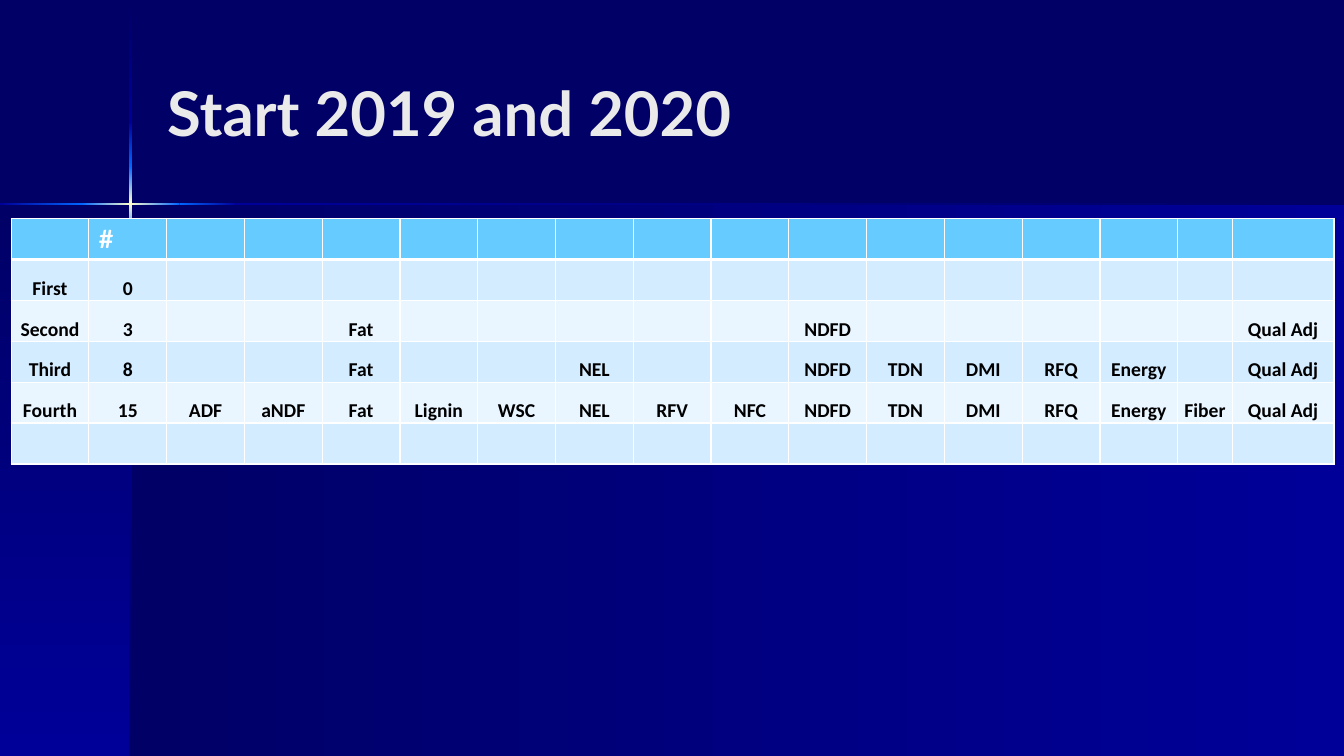
"""Build the slide of feed quality traits by start group, 2019 and 2020."""
from copy import deepcopy
from dataclasses import dataclass
from itertools import pairwise
from typing import Any

from lxml.etree import SubElement
from pptx import Presentation
from pptx.dml.color import RGBColor
from pptx.enum.shapes import MSO_SHAPE
from pptx.enum.text import MSO_ANCHOR, PP_ALIGN
from pptx.oxml.ns import qn
from pptx.util import Cm, Pt

SLIDE_WIDTH, SLIDE_HEIGHT = 33.87, 19.05
NAVY, BLUE, AZURE, CREAM = "000066", "000099", "0066FF", "FFFFCC"
WHITE, BLACK, SILVER = "FFFFFF", "000000", "EAEAEA"
HEADER_FILL, BAND_FILLS = "66CCFF", ("D3ECFF", "EAF6FF")
DOWN, RIGHTWARD = 270, 0

RAY_COLOURS = (
    (NAVY, BLUE),
    (BLUE, AZURE),
    (AZURE, CREAM, AZURE),
    (AZURE, BLUE),
    (BLUE, NAVY),
)
VERTICAL_CUTS = (0.03, 3.07, 4.19, 6.05, 7.16, SLIDE_HEIGHT)
HORIZONTAL_CUTS = (0, 2.06, 4.52, 5.99, SLIDE_WIDTH)

COLUMN_WIDTHS = [1.96] * 15 + [1.37, 2.57]
ROW_HEIGHT = 1.03
TRAITS = ("ADF", "aNDF", "Fat", "Lignin", "WSC", "NEL", "RFV", "NFC", "NDFD",
          "TDN", "DMI", "RFQ", "Energy", "Fiber", "Qual Adj")

TITLE_FONT = {"name": "Lato", "size": Pt(44), "bold": True}
HEADER_FONT = {"name": "Lato", "size": Pt(18), "bold": True}
BODY_FONT = {"name": "Calibri", "size": Pt(14), "bold": True}
BODY_CELL = {"vertical_anchor": MSO_ANCHOR.BOTTOM, "margin_left": 0,
             "margin_top": 0, "margin_right": 0, "margin_bottom": 0}


@dataclass(frozen=True)
class Glow:
    """A gradient-filled part of the backdrop, in centimetres."""
    left: float
    top: float
    width: float
    height: float
    colours: tuple[str, ...]
    angle: int


@dataclass(frozen=True)
class StartGroup:
    """One table row: its label, its count and the traits it shows."""
    label: str
    count: str
    traits: tuple[str, ...]

    def texts(self) -> list[str]:
        """Return the row's cell texts, blank where a trait is absent."""
        return [self.label, self.count] + [t if t in self.traits else "" for t in TRAITS]


GROUPS = (
    StartGroup("First", "0", ()),
    StartGroup("Second", "3", ("Fat", "NDFD", "Qual Adj")),
    StartGroup("Third", "8", ("Fat", "NEL", "NDFD", "TDN", "DMI", "RFQ", "Energy", "Qual Adj")),
    StartGroup("Fourth", "15", TRAITS),
    StartGroup("", "", ()),
)


def rgb(colour: str) -> RGBColor:
    """Turn a hex string into a colour."""
    return RGBColor.from_string(colour)


def apply_format(target: Any, values: dict[str, Any]) -> None:
    """Set each named format value on the target."""
    for attribute, value in values.items():
        setattr(target, attribute, value)


def backdrop() -> list[Glow]:
    """Lay out the two panels and the crossing rays of light."""
    panels = [
        Glow(3.28, 5.13, SLIDE_WIDTH - 3.28, SLIDE_HEIGHT - 5.13, (NAVY, BLUE), RIGHTWARD),
        Glow(0, 5.13, 3.28, SLIDE_HEIGHT - 5.13, (NAVY, BLUE), DOWN),
    ]
    vertical = [Glow(3.25, start, 0.08, end - start, colours, DOWN)
                for (start, end), colours in zip(pairwise(VERTICAL_CUTS), RAY_COLOURS)]
    horizontal = [Glow(start, 5.11, end - start, 0.05, colours, RIGHTWARD)
                  for (start, end), colours in zip(pairwise(HORIZONTAL_CUTS), RAY_COLOURS[1:])]
    return panels + vertical + horizontal


def draw_glow(slide: Any, glow: Glow) -> None:
    """Draw one borderless rectangle with evenly spaced gradient stops."""
    box = (Cm(length) for length in (glow.left, glow.top, glow.width, glow.height))
    ray = slide.shapes.add_shape(MSO_SHAPE.RECTANGLE, *box)
    ray.shadow.inherit = False
    ray.line.fill.background()
    ray.fill.gradient()
    ray.fill.gradient_angle = glow.angle
    stop_list = ray.fill._xPr.find(".//" + qn("a:gsLst"))
    while len(stop_list) < len(glow.colours):
        stop_list.append(deepcopy(stop_list[0]))
    for index, (stop, colour) in enumerate(zip(ray.fill.gradient_stops, glow.colours)):
        stop.position = index / (len(glow.colours) - 1)
        stop.color.rgb = rgb(colour)


def draw_title(slide: Any, wording: str) -> None:
    """Place and format the title."""
    title = slide.shapes.title
    apply_format(title, {"left": Cm(3.96), "top": Cm(0.84),
                         "width": Cm(27.94), "height": Cm(3.98)})
    title.text_frame.text = wording
    title.text_frame.vertical_anchor = MSO_ANCHOR.MIDDLE
    paragraph = title.text_frame.paragraphs[0]
    paragraph.alignment = PP_ALIGN.LEFT
    apply_format(paragraph.runs[0].font, TITLE_FONT)
    paragraph.runs[0].font.color.rgb = rgb(SILVER)


def draw_borders(cell: Any, top: float, bottom: float) -> None:
    """Give a cell white borders of the given top and bottom weights."""
    properties = cell._tc.get_or_add_tcPr()
    for side, weight in (("L", 1), ("R", 1), ("T", top), ("B", bottom)):
        border = SubElement(properties, qn(f"a:ln{side}"), w=str(Pt(weight)))
        fill = SubElement(border, qn("a:solidFill"))
        SubElement(fill, qn("a:srgbClr"), val=WHITE)


def fill_cell(cell: Any, wording: str, row: int) -> None:
    """Write and format one cell by its row."""
    is_header = row == 0
    draw_borders(cell, 3 if row == 1 else 1, 3 if is_header else 1)
    cell.fill.solid()
    cell.fill.fore_color.rgb = rgb(HEADER_FILL if is_header else BAND_FILLS[(row - 1) % 2])
    cell.text = wording
    paragraph = cell.text_frame.paragraphs[0]
    if not is_header:
        apply_format(cell, BODY_CELL)
        paragraph.alignment = PP_ALIGN.CENTER
    for run in paragraph.runs:
        apply_format(run.font, HEADER_FONT if is_header else BODY_FONT)
        run.font.color.rgb = rgb(WHITE if is_header else BLACK)


def draw_traits_table(slide: Any) -> None:
    """Draw the table of traits by start group."""
    rows = [["", "#"] + [""] * len(TRAITS)] + [group.texts() for group in GROUPS]
    table = slide.shapes.add_table(
        len(rows), len(COLUMN_WIDTHS), Cm(0.28), Cm(5.51),
        Cm(sum(COLUMN_WIDTHS)), Cm(ROW_HEIGHT * len(rows))).table
    for column, width in zip(table.columns, COLUMN_WIDTHS):
        column.width = Cm(width)
    for row, texts in enumerate(rows):
        table.rows[row].height = Cm(ROW_HEIGHT)
        for column, wording in enumerate(texts):
            fill_cell(table.cell(row, column), wording, row)


def main() -> None:
    """Build and save the slide."""
    deck = Presentation()
    apply_format(deck, {"slide_width": Cm(SLIDE_WIDTH), "slide_height": Cm(SLIDE_HEIGHT)})
    slide = deck.slides.add_slide(deck.slide_layouts[5])
    slide.background.fill.solid()
    slide.background.fill.fore_color.rgb = rgb(NAVY)
    for glow in backdrop():
        draw_glow(slide, glow)
    draw_title(slide, "Start 2019 and 2020")
    draw_traits_table(slide)
    deck.save("out.pptx")


if __name__ == "__main__":
    main()
